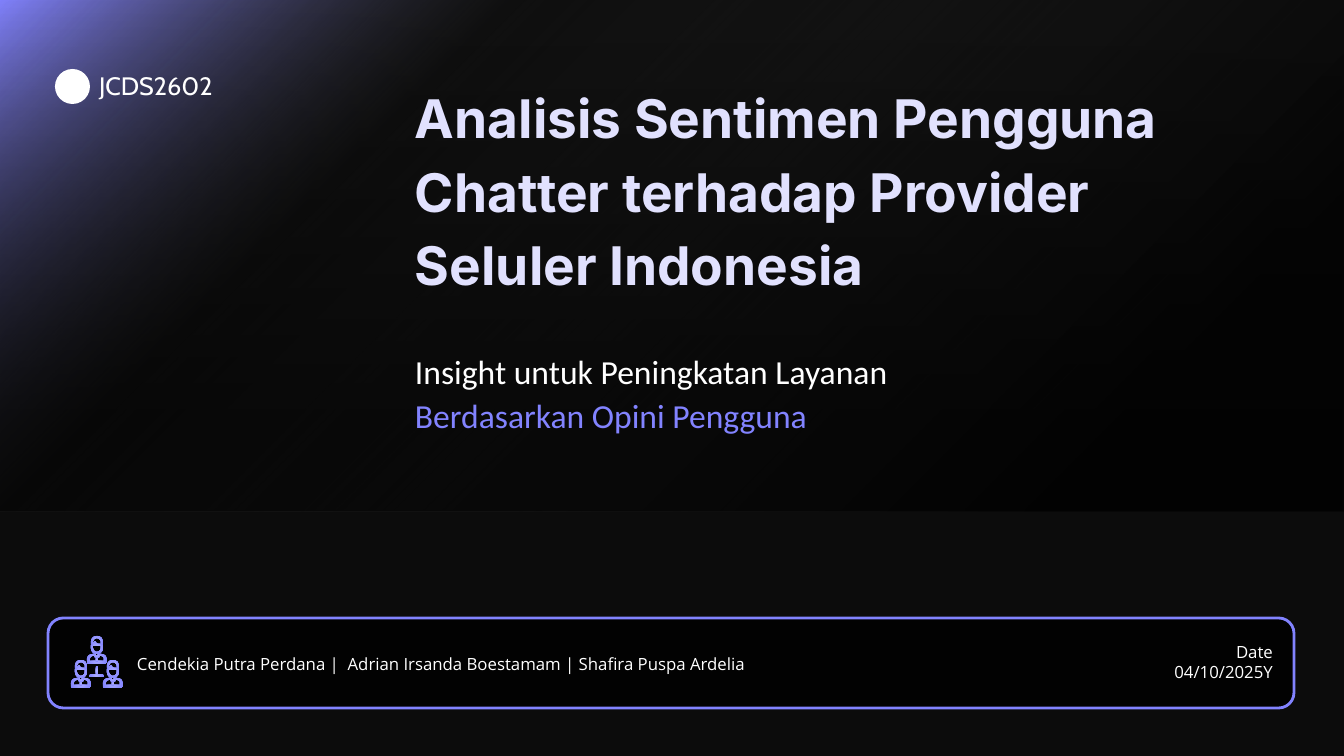
from lxml.etree import SubElement
from pptx import Presentation
from pptx.dml.color import RGBColor
from pptx.enum.shapes import MSO_SHAPE
from pptx.enum.text import MSO_ANCHOR, MSO_AUTO_SIZE, PP_ALIGN
from pptx.oxml import parse_xml
from pptx.oxml.ns import nsdecls, qn
from pptx.util import Pt

INK = {
    "base": "0C0C0C", "black": "000000", "gray": "444444", "white": "FFFFFF",
    "violet": "8283FF", "lilac": "ADAEFF", "pale": "E1E1FE",
}
FACE = [
    [(10, 18), (6, 18, 4, 15, 4, 12), (4, 9), (5, 8), (7, 6), (8, 5), (9, 6),
     (9, 8, 11, 8, 15, 8), (16, 9), (16, 12), (16, 15, 14, 18, 10, 18)],
    [(6, 10), (6, 12), (6, 14, 8, 16, 10, 16), (12, 16, 14, 14, 14, 12),
     (14, 10), (11, 10, 9, 10, 8, 9), (8, 10, 7, 10, 6, 10)],
]
HAIR = [
    [(16, 9), (14, 9), (14, 6), (14, 4, 12, 2, 10, 2), (8, 2, 6, 4, 6, 6),
     (6, 9), (4, 9), (4, 6), (4, 3, 6, 0, 10, 0), (14, 0, 16, 3, 16, 6)],
]
TORSO = [
    [(18, 28), (1, 28), (0, 28, 0, 27, 0, 26), (0, 23), (0, 20, 3, 18, 6, 18),
     (8, 18), (8, 20), (6, 20), (4, 20, 3, 21, 3, 23), (3, 25), (17, 25),
     (17, 23), (17, 21, 16, 20, 14, 20), (12, 20), (12, 18), (14, 18),
     (17, 18, 20, 20, 20, 23), (20, 26), (20, 27, 19, 28, 18, 28)],
]
COLLAR = [
    [(7, 17), (9, 17), (9, 19), (9, 20, 9, 20, 10, 20), (11, 20, 11, 20, 11, 19),
     (11, 17), (13, 17), (13, 19), (13, 21, 12, 22, 10, 22), (8, 22, 7, 21, 7, 19)],
]


def bar(x, y, w, h):
    return [[(x, y), (x + w, y), (x + w, y + h), (x, y + h)]]


def px(n):
    return round(n * 12192000 / 1344)


def trace(path, steps=8):
    dots = [path[0]]
    for seg in path[1:]:
        if len(seg) == 2:
            dots.append(seg)
            continue
        ends = dots[-1], seg[:2], seg[2:4], seg[4:]
        for i in range(1, steps + 1):
            t = i / steps
            mix = (1 - t) ** 3, 3 * t * (1 - t) ** 2, 3 * t * t * (1 - t), t ** 3
            dots.append(tuple(sum(m * e[k] for m, e in zip(mix, ends)) for k in (0, 1)))
    return dots


class Deck:
    def __init__(self):
        self.file = Presentation()
        self.file.slide_width, self.file.slide_height = px(1344), px(756)
        self.slide = self.file.slides.add_slide(self.file.slide_layouts[0])
        self.style = {
            "title": {"name": "Inter", "size": Pt(38), "bold": True},
            "body": {"name": "Calibri", "size": Pt(24)},
            "small": {"name": "Open Sans", "size": Pt(12)},
            "mark": {"name": "Cabin", "size": Pt(18)},
        }

    def shape(self, kind, box, fill=None, alpha=100):
        item = self.slide.shapes.add_shape(kind, *map(px, box))
        item.shadow.inherit = False
        item.line.fill.background()
        if fill:
            item.fill.solid()
            item.fill.fore_color.rgb = RGBColor.from_string(INK[fill])
            tint = item.element.spPr.find(qn("a:solidFill"))[0]
            SubElement(tint, qn("a:alpha")).set("val", str(alpha * 1000))
        return item

    def blend(self, item, stops, aim):
        gs = "".join(
            f'<a:gs pos="{at * 1000}"><a:srgbClr val="{INK[ink]}">'
            f'<a:alpha val="{alpha * 1000}"/></a:srgbClr></a:gs>'
            for at, ink, alpha in stops)
        if isinstance(aim, int):
            way = f'<a:lin ang="{aim * 60000}" scaled="0"/>'
        else:
            rect = " ".join(f'{k}="{v * 1000}"' for k, v in zip("ltrb", aim))
            way = f'<a:path path="circle"><a:fillToRect {rect}/></a:path>'
        item.element.spPr.insert(2, parse_xml(
            f'<a:gradFill {nsdecls("a")} rotWithShape="1"><a:gsLst>{gs}</a:gsLst>{way}</a:gradFill>'))

    def form(self, paths, left, top):
        pen = None
        for path in paths:
            dots = [(px(left + x), px(top + y)) for x, y in trace(path)]
            if pen:
                pen.move_to(*dots[0])
            else:
                pen = self.slide.shapes.build_freeform(*dots[0], scale=1.0)
            pen.add_line_segments(dots[1:], close=True)
        item = pen.convert_to_shape()
        item.shadow.inherit = False
        item.line.fill.background()
        self.blend(item, [(0, "lilac", 100), (100, "violet", 100)], (50, 50, 50, 50))

    def text(self, box, look, lines, align=PP_ALIGN.LEFT, space=1.0, inset=0, item=None):
        if item is None:
            item = self.slide.shapes.add_textbox(0, 0, 0, 0)
        item.element.getparent().append(item.element)
        for key, size in zip(("left", "top", "width", "height"), box):
            setattr(item, key, px(size))
        frame = item.text_frame
        form = {"word_wrap": True, "auto_size": MSO_AUTO_SIZE.NONE,
                "vertical_anchor": MSO_ANCHOR.TOP}
        form.update({f"margin_{side}": px(inset) for side in ("left", "top", "right", "bottom")})
        for key, value in form.items():
            setattr(frame, key, value)
        for i, runs in enumerate(lines):
            para = frame.add_paragraph() if i else frame.paragraphs[0]
            form = {"alignment": align, "line_spacing": space,
                    "space_before": Pt(0), "space_after": Pt(0)}
            for key, value in form.items():
                setattr(para, key, value)
            for words, ink in runs:
                run = para.add_run()
                run.text = words
                run.font.color.rgb = RGBColor.from_string(INK[ink])
                for key, value in self.style[look].items():
                    setattr(run.font, key, value)

    def team(self, left, top):
        for x, y in ((0, 0), (32, 0), (16, -24)):
            for part in (FACE, HAIR, TORSO, COLLAR, bar(9, 21, 2, 5)):
                self.form(part, left + x, top + y)
        for part in (bar(25, 6, 2, 10), bar(18, 15, 15, 2)):
            self.form(part, left, top)


def main():
    deck = Deck()
    title, body = deck.slide.placeholders
    deck.shape(MSO_SHAPE.RECTANGLE, (0, 0, 1344, 756), "base")
    glow = deck.shape(MSO_SHAPE.RECTANGLE, (0, -1, 1344, 513))
    deck.blend(glow, [(0, "black", 48), (16, "black", 48), (72, "gray", 7),
                      (100, "violet", 100)], (100, 100, 0, 0))
    shade = deck.shape(MSO_SHAPE.RECTANGLE, (0, -1, 1344, 512))
    deck.blend(shade, [(0, "black", 51), (18, "black", 51), (100, "black", 0)], 270)
    panel = deck.shape(MSO_SHAPE.ROUNDED_RECTANGLE, (48, 618, 1246, 90), "black", 76)
    panel.adjustments[0] = 0.17
    panel.line.color.rgb = RGBColor.from_string(INK["violet"])
    panel.line.width = Pt(2)

    deck.text((415, 76, 775, 213), "title",
              [[("Analisis Sentimen Pengguna Chatter terhadap Provider Seluler Indonesia", "pale")]],
              space=1.15, item=title)
    deck.text((415, 347, 605, 86), "body",
              [[("Insight untuk Peningkatan Layanan", "white"),
                (" Berdasarkan Opini Pengguna", "violet")]], space=1.1, item=body)
    deck.text((137, 654, 635, 20), "small",
              [[("Cendekia Putra Perdana |  Adrian Irsanda Boestamam | Shafira Puspa Ardelia", "white")]])
    deck.text((1155, 642, 118, 40), "small",
              [[("Date", "white")], [("04/10/2025Y", "white")]], PP_ALIGN.RIGHT)
    deck.team(71, 660)
    deck.shape(MSO_SHAPE.OVAL, (55, 69, 35, 35), "white")
    deck.text((89, 60, 173, 38), "mark", [[("JCDS2602", "white")]], inset=10)
    deck.file.save("out.pptx")


if __name__ == "__main__":
    main()
